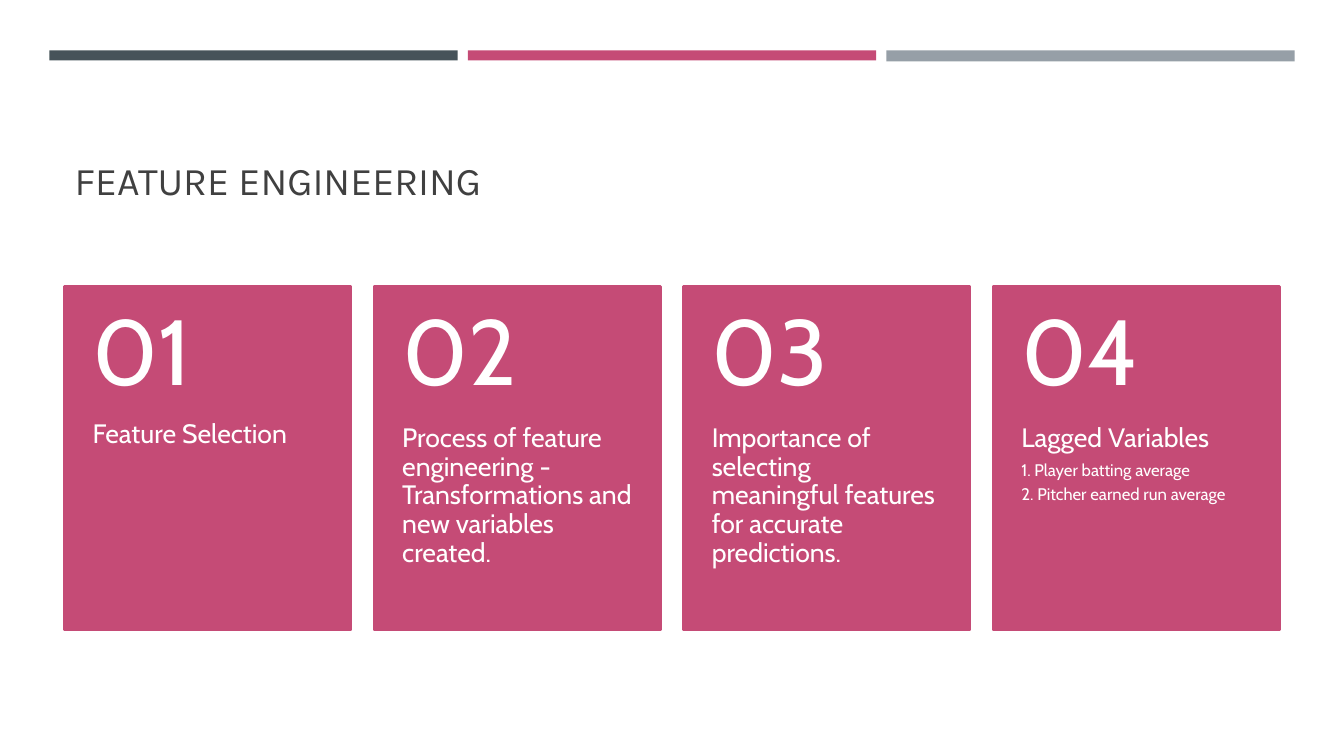
from pptx import Presentation
from pptx.dml.color import RGBColor
from pptx.enum.shapes import MSO_SHAPE
from pptx.enum.text import MSO_ANCHOR, PP_ALIGN
from pptx.util import Pt

PX = 9144  # EMU per px, at 100 px to the inch
SLATE = RGBColor(0x46, 0x53, 0x59)
ROSE = RGBColor(0xC5, 0x4B, 0x76)
GREY = RGBColor(0x96, 0x9F, 0xA7)
CHARCOAL = RGBColor(0x40, 0x40, 0x40)
WHITE = RGBColor(0xFF, 0xFF, 0xFF)

CARD_LEFT, CARD_TOP, CARD_WIDTH, CARD_HEIGHT, CARD_STEP = 64, 284, 284, 341, 307
NUMBER_HEIGHT = 137
CARDS = [
    [("Feature Selection", 19)],
    [("Process of feature engineering - Transformations and new variables created.", 19)],
    [("Importance of selecting meaningful features for accurate predictions.", 19)],
    [("Lagged Variables", 19),
     ("1. Player batting average", 12),
     ("2. Pitcher earned run average", 12)],
]

deck = Presentation()
deck.slide_width, deck.slide_height = 1333 * PX, 750 * PX
slide = deck.slides.add_slide(deck.slide_layouts[5])


def add_block(left, top, width, height, color):
    block = slide.shapes.add_shape(
        MSO_SHAPE.RECTANGLE, left * PX, top * PX, width * PX, height * PX)
    block.shadow.inherit = False
    block.fill.solid()
    block.fill.fore_color.rgb = color
    block.line.fill.background()
    return block


def add_card_text(left, top, height, lines, frame_format):
    box = slide.shapes.add_textbox(left * PX, top * PX, CARD_WIDTH * PX, height * PX)
    frame = box.text_frame
    for key, value in frame_format.items():
        setattr(frame, key, value)
    for index, (text, size) in enumerate(lines):
        paragraph = frame.add_paragraph() if index else frame.paragraphs[0]
        paragraph.text = text
        paragraph.line_spacing = 0.9
        paragraph.space_after = Pt(round(size * 0.35, 1))
        paragraph.font.name = "Cabin"
        paragraph.font.size = Pt(size)
        paragraph.font.color.rgb = WHITE


for column, (color, height) in enumerate([(SLATE, 10), (ROSE, 10), (GREY, 11)]):
    add_block(49 + column * 415, 50, 405, height, color)

title = slide.shapes.title
title.left, title.top, title.width, title.height = 64 * PX, 77 * PX, 1206 * PX, 130 * PX
title.text_frame.text = "FEATURE ENGINEERING"
title.text_frame.vertical_anchor = MSO_ANCHOR.BOTTOM
heading = title.text_frame.paragraphs[0]
heading.alignment = PP_ALIGN.LEFT
heading.font.name = "Karla"
heading.font.size = Pt(28)
heading.font.color.rgb = CHARCOAL

SIDES = {"word_wrap": True, "margin_left": 28 * PX, "margin_right": 28 * PX}
BODY_FORMAT = {**SIDES, "margin_top": 0, "margin_bottom": 36 * PX,
               "vertical_anchor": MSO_ANCHOR.TOP}
NUMBER_FORMAT = {**SIDES, "margin_top": 18 * PX, "margin_bottom": 18 * PX,
                 "vertical_anchor": MSO_ANCHOR.MIDDLE}

for index, lines in enumerate(CARDS):
    left = CARD_LEFT + index * CARD_STEP
    card = add_block(left, CARD_TOP, CARD_WIDTH, CARD_HEIGHT, ROSE)
    card.line.color.rgb = ROSE
    card.line.width = Pt(1.75)
    add_card_text(left, CARD_TOP + NUMBER_HEIGHT, CARD_HEIGHT - NUMBER_HEIGHT,
                  lines, BODY_FORMAT)
    add_card_text(left, CARD_TOP, NUMBER_HEIGHT, [(f"{index + 1:02}", 66)], NUMBER_FORMAT)

deck.save("out.pptx")
